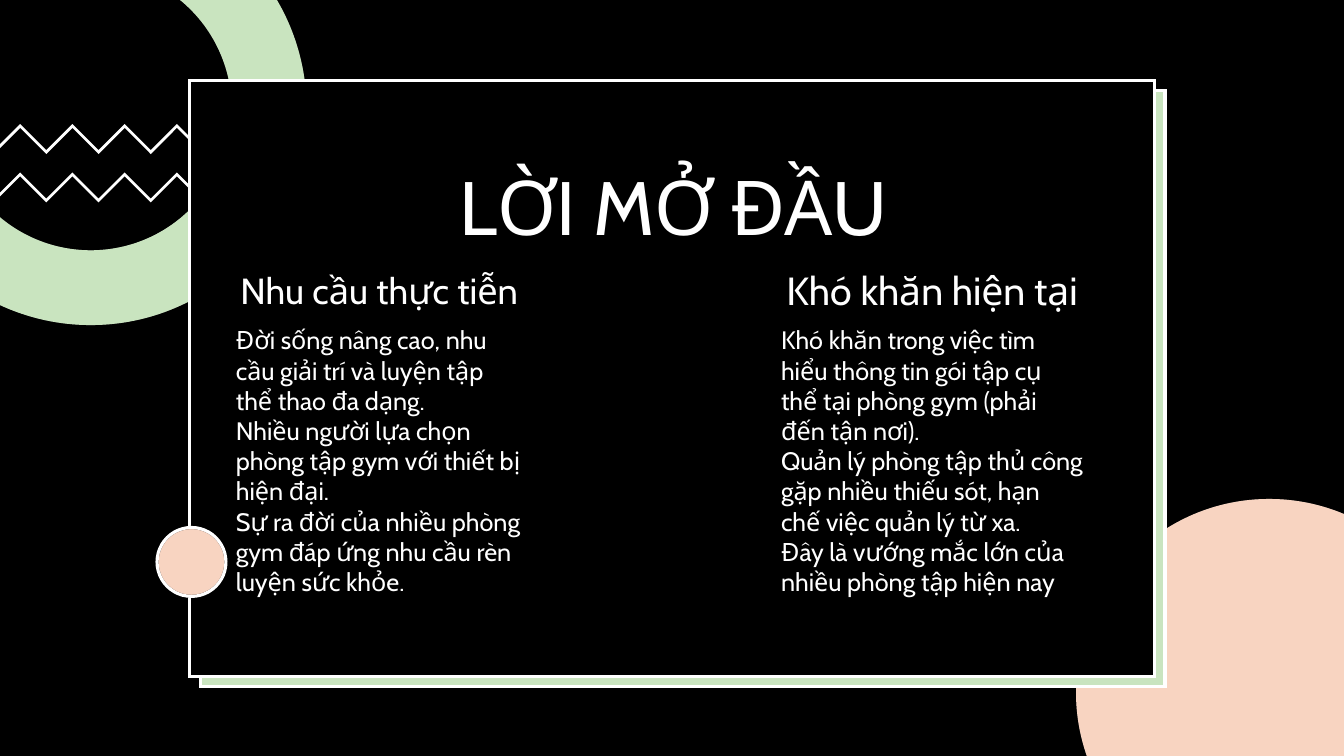
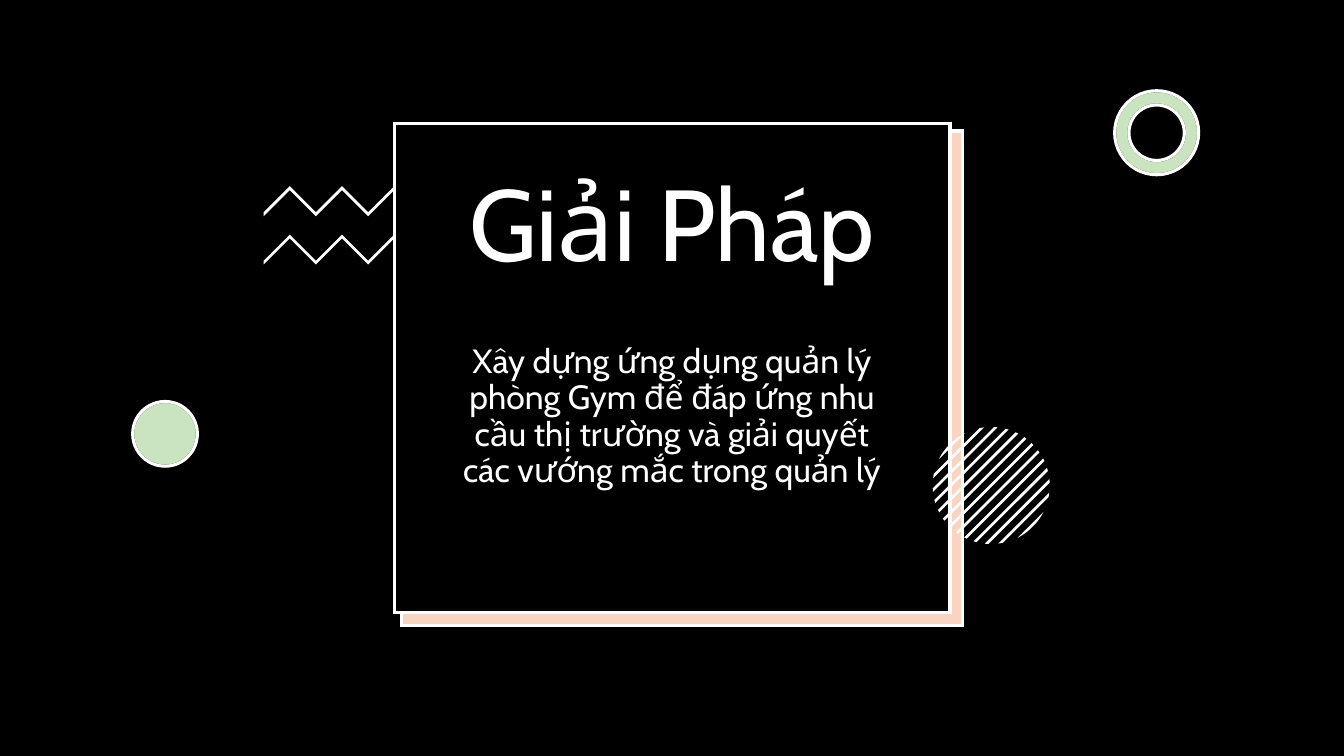
from dataclasses import dataclass
from math import acos, asin, ceil, cos, floor, pi, sin, tan
from typing import NamedTuple

from lxml import etree
from pptx import Presentation
from pptx.dml.color import RGBColor
from pptx.enum import shapes, text
from pptx.oxml.ns import qn
from pptx.util import Emu, Inches, Pt

COLUMNS, ROWS = 160, 90
WIDTH, HEIGHT = Inches(13.333), Inches(7.5)


@dataclass(frozen=True)
class Theme:
    ink: RGBColor = RGBColor(0x00, 0x00, 0x00)
    paper: RGBColor = RGBColor(0xFF, 0xFF, 0xFF)
    green: RGBColor = RGBColor(0x4E, 0xA7, 0x2E)
    orange: RGBColor = RGBColor(0xE9, 0x71, 0x32)
    tint_percent: int = 30
    font: str = "Cabin"
    outline: float = 2.25
    title: float = 54
    big_title: float = 72
    narrow_heading: float = 25.9
    heading: float = 28
    lead: float = 24
    body: float = 18
    tight: float = 0.9
    heading_gap: float = 10


THEME = Theme()


class Box(NamedTuple):
    column: float
    row: float
    columns: float
    rows: float


class Point(NamedTuple):
    column: float
    row: float


Segment = tuple[Point, ...]


@dataclass(frozen=True)
class Outline:
    start: Point
    segments: list[Segment]


@dataclass(frozen=True)
class Circle:
    center: Point
    radius: float

    def at(self, angle: float) -> Point:
        return Point(
            self.center.column + self.radius * cos(angle),
            self.center.row + self.radius * sin(angle),
        )

    def arc(self, start: float, end: float) -> list[Segment]:
        quarter = pi / 2
        low, high = sorted((start, end))
        cuts = range(floor(low / quarter) + 1, ceil(high / quarter))
        angles = sorted({low, high, *(cut * quarter for cut in cuts)}, reverse=end < start)
        segments = []
        for first, last in zip(angles, angles[1:]):
            reach = 4 / 3 * tan((last - first) / 4) * self.radius
            head, tail = self.at(first), self.at(last)
            segments.append(
                (
                    Point(head.column - reach * sin(first), head.row + reach * cos(first)),
                    Point(tail.column + reach * sin(last), tail.row - reach * cos(last)),
                    tail,
                )
            )
        return segments


@dataclass(frozen=True)
class Zigzags:
    start: float
    end: float
    peak: Point
    half_wave: float = 3.11
    gap: float = 5.76
    half_thickness: float = 0.23
    count: int = 2


@dataclass(frozen=True)
class TextColumn:
    box: Box
    heading: str
    heading_size: float
    paragraphs: tuple[str, ...]


def across(columns: float) -> Emu:
    return Emu(round(columns * WIDTH / COLUMNS))


def down(rows: float) -> Emu:
    return Emu(round(rows * HEIGHT / ROWS))


def place(box: Box) -> tuple[Emu, Emu, Emu, Emu]:
    return across(box.column), down(box.row), across(box.columns), down(box.rows)


def paint(shape, fill: RGBColor, line: RGBColor | None = None, tinted: bool = False) -> None:
    shape.shadow.inherit = False
    shape.fill.solid()
    shape.fill.fore_color.rgb = fill
    if tinted:
        color = shape.element.spPr.find(qn("a:solidFill"))[0]
        etree.SubElement(color, qn("a:alpha")).set("val", str(THEME.tint_percent * 1000))
    if line is None:
        shape.line.fill.background()
        return
    shape.line.color.rgb = line
    shape.line.width = Pt(THEME.outline)
    border = shape.element.spPr.find(qn("a:ln"))
    etree.SubElement(border, qn("a:miter")).set("lim", "800000")


def add_preset(slide, kind, box: Box, adjustment: float | None = None):
    shape = slide.shapes.add_shape(kind, *place(box))
    if adjustment is not None:
        shape.adjustments[0] = adjustment
    return shape


def add_tinted_preset(
    slide, kind, box: Box, accent: RGBColor,
    base_line: RGBColor | None = THEME.ink, adjustment: float | None = None,
) -> None:
    paint(add_preset(slide, kind, box, adjustment), THEME.paper, base_line)
    paint(add_preset(slide, kind, box, adjustment), accent, THEME.paper, tinted=True)


def add_panel(
    slide, front: Box, back: Box, accent: RGBColor, base_line: RGBColor | None
) -> None:
    rectangle = shapes.MSO_SHAPE.RECTANGLE
    add_tinted_preset(slide, rectangle, back, accent, base_line)
    paint(add_preset(slide, rectangle, front), THEME.ink, THEME.paper)


def add_outline(container, outline: Outline):
    start = outline.start
    builder = container.build_freeform(across(start.column), down(start.row))
    points = [point for segment in outline.segments for point in segment]
    builder.add_line_segments([(across(p.column), down(p.row)) for p in points])
    shape = builder.convert_to_shape()
    lines = iter(shape.element.findall(f".//{qn('a:lnTo')}"))
    for segment in outline.segments:
        first, *others = [next(lines) for _ in segment]
        if others:
            first.tag = qn("a:cubicBezTo")
        for other in others:
            first.append(other[0])
            other.getparent().remove(other)
    return shape


def add_tinted_outline(slide, outline: Outline, accent: RGBColor) -> None:
    paint(add_outline(slide.shapes, outline), THEME.paper)
    paint(add_outline(slide.shapes, outline), accent, tinted=True)


def add_zigzags(container, zigzags: Zigzags) -> None:
    peak, half = zigzags.peak, zigzags.half_wave
    steps = range(int((zigzags.end - peak.column) / half) + 1)
    columns = [zigzags.start, *(peak.column + step * half for step in steps), zigzags.end]
    for index in range(zigzags.count):
        middle = []
        for column in columns:
            phase = (column - peak.column) % (2 * half)
            height = min(phase, 2 * half - phase)
            middle.append(Point(column, peak.row + index * zigzags.gap + height))
        upper = [Point(p.column, p.row - zigzags.half_thickness) for p in middle]
        lower = [Point(p.column, p.row + zigzags.half_thickness) for p in reversed(middle)]
        start, *rest = upper + lower
        paint(add_outline(container, Outline(start, [(p,) for p in rest])), THEME.paper)


def add_hatched_circle(container, circle: Circle) -> None:
    pitch, half_width, per_side = 1.13, 0.16, 6
    for index in range(-per_side, per_side + 1):
        near, far = (
            acos(min(max((index * pitch + edge) / circle.radius, -1), 1))
            for edge in (-half_width, half_width)
        )
        turn = pi / 4
        segments = [
            *circle.arc(turn + near, turn + far),
            (circle.at(turn - far),),
            *circle.arc(turn - far, turn - near),
        ]
        paint(add_outline(container, Outline(circle.at(turn + near), segments)), THEME.paper)


def corner_ring(outer: Circle, inner: Circle) -> Outline:
    def top_and_left(circle: Circle) -> tuple[float, float]:
        top = -asin(circle.center.row / circle.radius)
        return top, pi - acos(circle.center.column / circle.radius)

    (outer_top, outer_left), (inner_top, inner_left) = map(top_and_left, (outer, inner))
    segments = [
        (outer.at(outer_top),),
        *outer.arc(outer_top, outer_left),
        (inner.at(inner_left),),
        *inner.arc(inner_left, inner_top),
    ]
    return Outline(inner.at(inner_top), segments)


def corner_disc(circle: Circle) -> Outline:
    bottom = pi - asin((ROWS - circle.center.row) / circle.radius)
    right = 2 * pi - acos((COLUMNS - circle.center.column) / circle.radius)
    segments = [*circle.arc(bottom, right), (Point(COLUMNS, ROWS),)]
    return Outline(circle.at(bottom), segments)


def write(
    shape, paragraphs: tuple[str, ...], size: float,
    anchor=text.MSO_ANCHOR.MIDDLE, align=text.PP_ALIGN.CENTER,
    spacing: float | None = THEME.tight, before: float | None = None,
    fit=text.MSO_AUTO_SIZE.NONE,
) -> None:
    frame = shape.text_frame
    frame.word_wrap = True
    frame.auto_size = fit
    frame.vertical_anchor = anchor
    for index, content in enumerate(paragraphs):
        paragraph = frame.add_paragraph() if index else frame.paragraphs[0]
        paragraph.alignment = align
        paragraph.line_spacing = spacing
        paragraph.space_before = None if before is None else Pt(before)
        run = paragraph.add_run()
        run.text = content
        run.font.name = THEME.font
        run.font.size = Pt(size)
        run.font.color.rgb = THEME.paper


def add_title(slide, box: Box, content: str, size: float, anchor) -> None:
    title = slide.shapes.title
    title.left, title.top, title.width, title.height = place(box)
    title.element.getparent().append(title.element)
    write(title, (content,), size, anchor)


def add_heading(slide, box: Box, content: str, size: float) -> None:
    shape = slide.shapes.add_textbox(*place(box))
    write(shape, (content,), size, before=THEME.heading_gap)


def add_body(slide, column: TextColumn) -> None:
    write(
        slide.shapes.add_textbox(*place(column.box)), column.paragraphs, THEME.body,
        text.MSO_ANCHOR.TOP, text.PP_ALIGN.LEFT, None,
        fit=text.MSO_AUTO_SIZE.SHAPE_TO_FIT_TEXT,
    )


def build_introduction(slide) -> None:
    add_zigzags(slide.shapes, Zigzags(0, 24.4, Point(2.4, 15)))
    center = Point(10.8, 13)
    add_tinted_outline(
        slide, corner_ring(Circle(center, 25.7), Circle(center, 16.8)), THEME.green
    )
    add_tinted_outline(slide, corner_disc(Circle(Point(151.1, 82.4), 23)), THEME.orange)
    front, back = Box(22.6, 9.6, 114.8, 70.9), Box(23.9, 10.8, 114.8, 70.9)
    add_panel(slide, front, back, THEME.green, THEME.ink)
    title_box = Box(31.3, 17.6, 97.8, 13)
    add_title(slide, title_box, "LỜI MỞ ĐẦU", THEME.title, text.MSO_ANCHOR.BOTTOM)
    add_tinted_preset(slide, shapes.MSO_SHAPE.OVAL, Box(18.7, 62.8, 8.2, 8.2), THEME.orange)
    columns = (
        TextColumn(
            Box(26.9, 38.05, 36.5, 37.6), "Nhu cầu thực tiễn", THEME.narrow_heading,
            (
                "Đời sống nâng cao, nhu cầu giải trí và luyện tập thể thao đa dạng.",
                "Nhiều người lựa chọn phòng tập gym với thiết bị hiện đại.",
                "Sự ra đời của nhiều phòng gym đáp ứng nhu cầu rèn luyện sức khỏe.",
            ),
        ),
        TextColumn(
            Box(91.8, 38.05, 38.3, 34), "Khó khăn hiện tại", THEME.heading,
            (
                "Khó khăn trong việc tìm hiểu thông tin gói tập cụ thể tại phòng gym "
                "(phải đến tận nơi).",
                "Quản lý phòng tập thủ công gặp nhiều thiếu sót, hạn chế việc quản lý từ xa.",
                "Đây là vướng mắc lớn của nhiều phòng tập hiện nay",
            ),
        ),
    )
    for column in columns:
        heading_box = Box(column.box.column, 31.1, column.box.columns, 7.6)
        add_heading(slide, heading_box, column.heading, column.heading_size)
    for column in columns:
        add_body(slide, column)


def build_solution(slide) -> None:
    add_zigzags(slide.shapes.add_group_shape().shapes, Zigzags(31.4, 56.4, Point(34.5, 22.4)))
    front, back = Box(47, 14.7, 66.1, 58.2), Box(47.8, 15.6, 66.8, 58.9)
    add_panel(slide, front, back, THEME.orange, None)
    title_box = Box(50.5, 18.3, 59, 17.9)
    add_title(slide, title_box, "Giải Pháp", THEME.big_title, text.MSO_ANCHOR.MIDDLE)
    lead = (
        "Xây dựng ứng dụng quản lý phòng Gym để đáp ứng nhu cầu thị trường "
        "và giải quyết các vướng mắc trong quản lý"
    )
    add_heading(slide, Box(52.6, 36.2, 54.8, 26.9), lead, THEME.lead)
    ring_box, dot_box = Box(132.7, 10.8, 10, 10), Box(15.8, 47.8, 7.7, 7.7)
    add_tinted_preset(
        slide, shapes.MSO_SHAPE.DONUT, ring_box, THEME.green, adjustment=0.17
    )
    add_tinted_preset(slide, shapes.MSO_SHAPE.OVAL, dot_box, THEME.green)
    add_hatched_circle(slide.shapes.add_group_shape().shapes, Circle(Point(118, 57.8), 6.97))


def main() -> None:
    presentation = Presentation()
    presentation.slide_width, presentation.slide_height = WIDTH, HEIGHT
    for build in (build_introduction, build_solution):
        slide = presentation.slides.add_slide(presentation.slide_layouts[5])
        backdrop = add_preset(slide, shapes.MSO_SHAPE.RECTANGLE, Box(0, 0, COLUMNS, ROWS))
        paint(backdrop, THEME.ink)
        build(slide)
    presentation.save("out.pptx")


if __name__ == "__main__":
    main()
